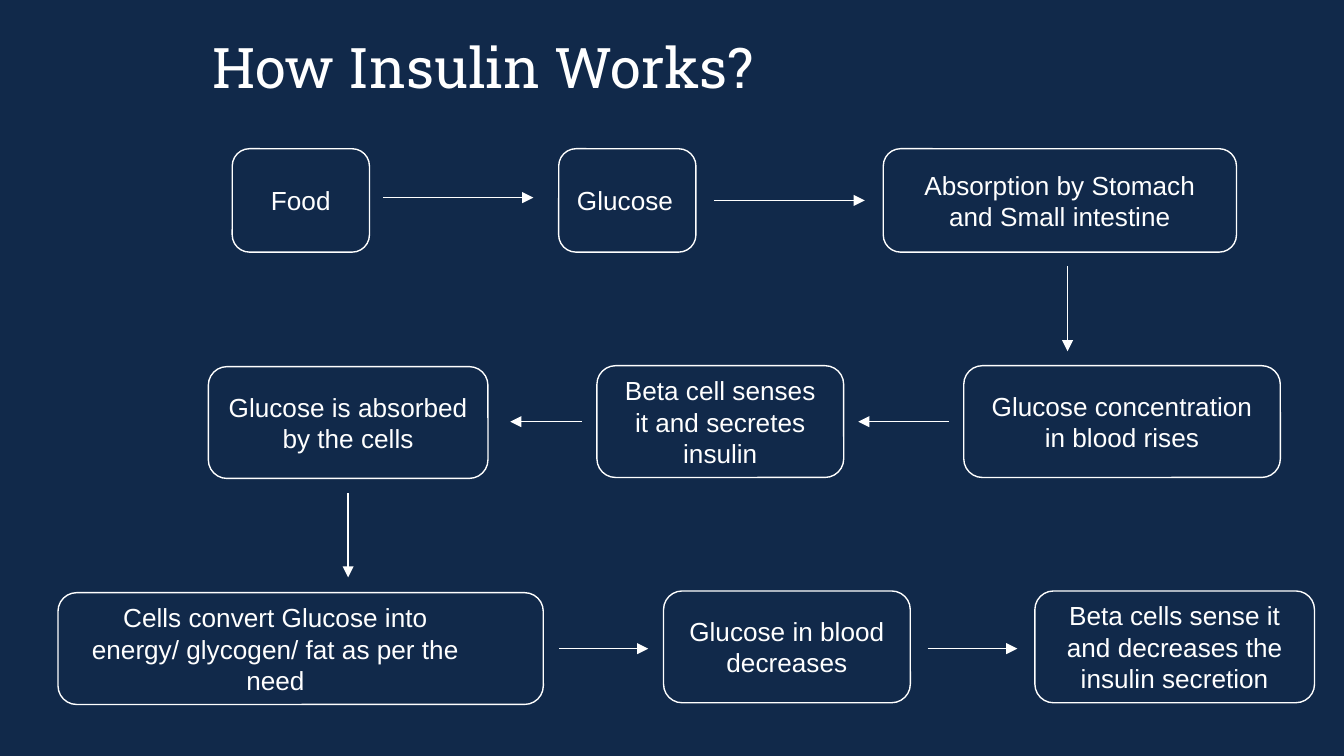
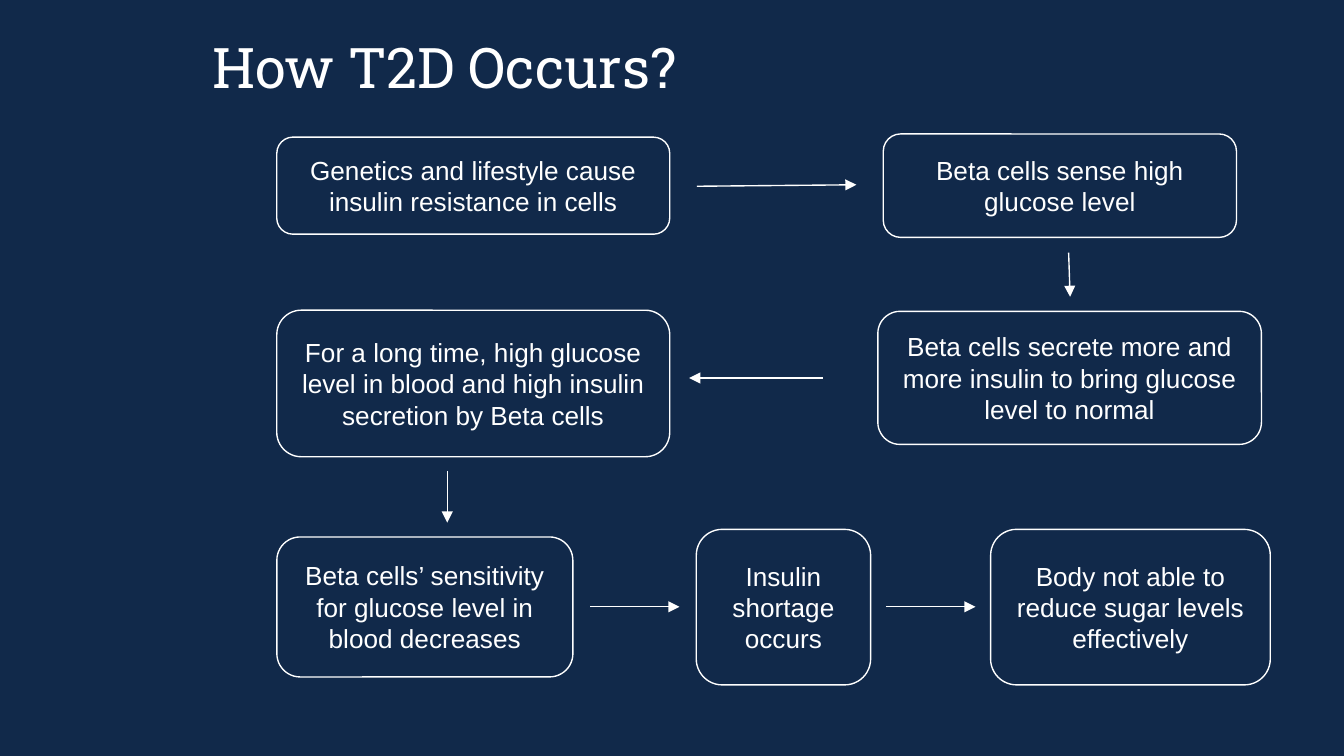
"""Builds two flow-chart slides on insulin and type 2 diabetes."""
from lxml import etree
from pptx import Presentation
from pptx import util as u
from pptx.dml.color import RGBColor
from pptx.enum import shapes, text
from pptx.oxml.ns import qn

NAVY = RGBColor(0x11, 0x29, 0x4A)
WHITE = RGBColor(0xFF, 0xFF, 0xFF)
TITLE_FONT, BODY_FONT = "Roboto Slab", "Arial"
TITLE_SIZE, BODY_SIZE = 30, 14
LINE_WIDTH = 0.75
INSET = 7.2
CENTER, LEFT = text.PP_ALIGN.CENTER, text.PP_ALIGN.LEFT

INSULIN_BOXES = [
    ("Food", 124.4, 79.7, 73.5, 55.4),
    ("Absorption by Stomach and Small intestine", 473.2, 79.7, 189.2, 55.4),
    ("Glucose concentration in blood rises", 516.3, 195.9, 169.6, 59.9),
    ("Beta cell senses it and secretes insulin", 319.8, 195.9, 132.2, 59.9),
    ("Glucose is absorbed by the cells", 111.6, 196.4, 149.8, 59.9),
    ("Glucose in blood decreases", 355.5, 316.6, 132.2, 59.9),
    ("Beta cells sense it and decreases the insulin secretion", 554.4, 316.6, 149.8, 59.9),
]
INSULIN_ARROWS = [
    (205.2, 105.9, 285.7, 105.9), (382.4, 107.4, 463.3, 107.4),
    (571.9, 142.5, 571.9, 188.2), (508.3, 225.9, 459.8, 225.9),
    (311.8, 225.9, 273.4, 225.9), (186.5, 264.2, 186.5, 309.4),
    (299.5, 347.5, 347.3, 347.5), (497, 347.5, 545, 347.5),
]
T2D_BOXES = [
    ("Genetics and lifestyle cause insulin resistance in cells", 148.3, 73.5, 210.5, 52),
    ("Beta cells sense high glucose level", 473.2, 71.8, 189.2, 55.4),
    ("Beta cells secrete more and more insulin to bring glucose level to normal",
     470.3, 166.8, 205.5, 71.3),
    ("For a long time, high glucose level in blood and high insulin secretion by Beta cells",
     148.3, 166.2, 210.5, 78.5),
    ("Beta cells’ sensitivity for glucose level in blood decreases", 148.3, 287.7, 158.6, 75),
    ("Insulin shortage occurs", 373, 283.6, 93.4, 83.3),
    ("Body not able to reduce sugar levels effectively", 530.7, 283.6, 149.8, 83.3),
]
T2D_ARROWS = [
    (373.3, 99.8, 458.8, 99), (572.5, 135.3, 573.3, 159), (440.7, 202.5, 369.2, 202.5),
    (239.6, 252.2, 239.6, 280), (316.2, 325.1, 364, 325.1), (474.6, 325.1, 522.6, 325.1),
]


def add_text(paragraph, words, font, size):
    """Add one white run to a paragraph."""
    run = paragraph.add_run()
    run.text = words
    run.font.name = font
    run.font.size = u.Pt(size)
    run.font.color.rgb = WHITE


def set_frame(frame, anchor):
    """Give a text frame wrapping, even insets and an anchor."""
    frame.word_wrap = True
    frame.vertical_anchor = anchor
    frame.margin_left = frame.margin_right = u.Pt(INSET)
    frame.margin_top = frame.margin_bottom = u.Pt(INSET)


def add_titled_slide(presentation, title):
    """Add a blank slide with its title and return it."""
    slide = presentation.slides.add_slide(presentation.slide_layouts[6])
    box = slide.shapes.add_textbox(u.Pt(106.6), u.Pt(-18), u.Pt(547), u.Pt(78.5))
    set_frame(box.text_frame, text.MSO_ANCHOR.BOTTOM)
    add_text(box.text_frame.paragraphs[0], title, TITLE_FONT, TITLE_SIZE)
    return slide


def add_box(slide, words, left, top, width, height, alignment=CENTER):
    """Add an outlined step, with one paragraph per line of words."""
    shape = slide.shapes.add_shape(
        shapes.MSO_SHAPE.ROUNDED_RECTANGLE, *map(u.Pt, (left, top, width, height)))
    shape.shadow.inherit = False
    shape.fill.background()
    shape.line.color.rgb = WHITE
    shape.line.width = u.Pt(LINE_WIDTH)
    frame = shape.text_frame
    set_frame(frame, text.MSO_ANCHOR.MIDDLE)
    for index, line in enumerate(words.split("\n")):
        paragraph = frame.add_paragraph() if index else frame.paragraphs[0]
        paragraph.alignment = alignment
        add_text(paragraph, line, BODY_FONT, BODY_SIZE)
    return shape


def add_arrow(slide, *ends):
    """Add a straight arrow from the first point to the second."""
    connector = slide.shapes.add_connector(
        shapes.MSO_CONNECTOR.STRAIGHT, *map(u.Pt, ends))
    connector.line.color.rgb = WHITE
    connector.line.width = u.Pt(LINE_WIDTH)
    properties = connector._element.spPr
    etree.SubElement(properties.find(qn("a:ln")), qn("a:tailEnd"), type="triangle")
    etree.SubElement(properties, qn("a:effectLst"))


def add_flow(presentation, title, boxes, arrows):
    """Add a slide holding a flow of steps and arrows."""
    slide = add_titled_slide(presentation, title)
    for box in boxes:
        add_box(slide, *box)
    for arrow in arrows:
        add_arrow(slide, *arrow)
    return slide


def main():
    """Build and save the presentation."""
    presentation = Presentation()
    presentation.slide_width, presentation.slide_height = u.Pt(720), u.Pt(405)
    background = presentation.slide_master.background.fill
    background.solid()
    background.fore_color.rgb = NAVY

    insulin = add_flow(presentation, "How Insulin Works?", INSULIN_BOXES, INSULIN_ARROWS)
    add_box(insulin, "Glucose", 299.3, 79.7, 73.5, 55.4, LEFT)
    energy = add_box(insulin, "Cells convert Glucose into\nenergy/ glycogen/ fat as per the need",
                     31.1, 317.5, 260, 59.9)
    first_line = energy.text_frame.paragraphs[0]._p.get_or_add_pPr()
    first_line.set("marR", str(u.Pt(27)))

    add_flow(presentation, "How T2D Occurs?", T2D_BOXES, T2D_ARROWS)
    presentation.save("out.pptx")


if __name__ == "__main__":
    main()
